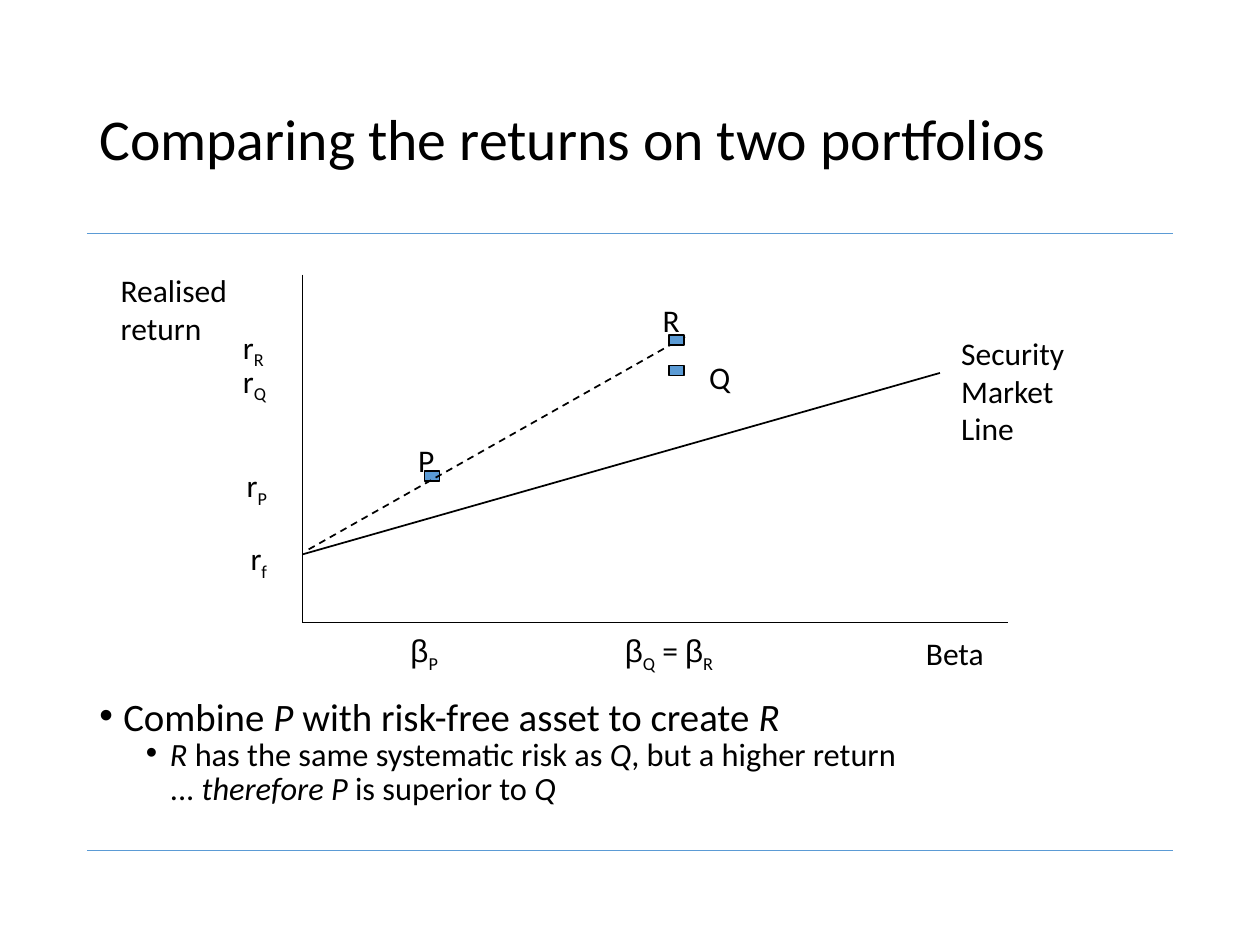
from dataclasses import dataclass

from lxml import etree
from pptx import Presentation
from pptx.dml.color import RGBColor
from pptx.enum.dml import MSO_LINE
from pptx.enum.shapes import MSO_CONNECTOR, MSO_SHAPE
from pptx.enum.text import MSO_ANCHOR, MSO_AUTO_SIZE
from pptx.oxml.ns import qn
from pptx.util import Inches, Pt

DASH = MSO_LINE.DASH
STRAIGHT = MSO_CONNECTOR.STRAIGHT
RECT = MSO_SHAPE.RECTANGLE
MIDDLE, TOP = MSO_ANCHOR.MIDDLE, MSO_ANCHOR.TOP
GROW, FIXED = MSO_AUTO_SIZE.SHAPE_TO_FIT_TEXT, MSO_AUTO_SIZE.NONE


@dataclass(frozen=True)
class Theme:
    ink: RGBColor = RGBColor(0, 0, 0)
    blue: RGBColor = RGBColor(0x5B, 0x9B, 0xD5)
    font: str = "Calibri"
    greek: str = "Arial"
    title: float = 33
    label: float = 18
    point: float = 22.2
    sub: float = 18.5
    thin: float = 0.5
    pen: float = 1


@dataclass(frozen=True)
class Box:
    x: float
    y: float
    w: float
    h: float

    def inner(self, x, y, w=0, h=0):
        """Box inside this one, given in percent of its sides."""
        return Box(self.x + self.w * x / 100, self.y + self.h * y / 100,
                   self.w * w / 100, self.h * h / 100)

    def emu(self):
        return [Inches(v) for v in (self.x, self.y, self.w, self.h)]


THEME = Theme()
PAGE = Box(0, 0, 10, 7.5)


def add_runs(para, text, size, mark):
    """Every second piece between bars is italic or subscript."""
    for i, piece in enumerate(text.split("|")):
        if not piece:
            continue
        run = para.add_run()
        run.text = piece
        font = run.font
        font.size = Pt(size)
        font.name = THEME.greek if piece == "β" else THEME.font
        font.color.rgb = THEME.ink
        if i % 2 and mark == "italic":
            font.italic = True
        elif i % 2:
            font._element.set("baseline", "-25000")


def add_text(slide, box, lines, size=THEME.label, mark="sub", wrap=False,
             anchor=TOP, spacing=None):
    shape = slide.shapes.add_textbox(*box.emu())
    frame = shape.text_frame
    frame.word_wrap = wrap
    frame.auto_size = FIXED if wrap else GROW
    frame.vertical_anchor = anchor
    for i, line in enumerate(lines):
        para = frame.paragraphs[0] if i == 0 else frame.add_paragraph()
        if spacing:
            para.line_spacing = spacing
        add_runs(para, line, size, mark)
    return frame


def add_line(slide, start, end, color=THEME.ink, width=THEME.pen, dash=None):
    line = slide.shapes.add_connector(STRAIGHT, *start.emu()[:2], *end.emu()[:2])
    line.line.color.rgb = color
    line.line.width = Pt(width)
    if dash:
        line.line.dash_style = dash
    etree.SubElement(line._element.spPr, qn("a:effectLst"))


def add_mark(slide, box):
    mark = slide.shapes.add_shape(RECT, *box.emu())
    mark.shadow.inherit = False
    mark.fill.solid()
    mark.fill.fore_color.rgb = THEME.blue
    mark.line.color.rgb = THEME.ink
    mark.line.width = Pt(THEME.pen)


def set_indent(para, left, hang, bullet):
    props = para._p.get_or_add_pPr()
    props.set("marL", str(Inches(left)))
    props.set("indent", str(-Inches(hang)))
    if bullet:
        etree.SubElement(props, qn("a:buFont")).set("typeface", THEME.greek)
        etree.SubElement(props, qn("a:buChar")).set("char", "•")
    else:
        etree.SubElement(props, qn("a:buNone"))


def draw_head(slide, box):
    add_text(slide, box, ["Comparing the returns on two portfolios"],
             size=THEME.title, wrap=True, anchor=MIDDLE, spacing=0.9)


def draw_rule(slide, box):
    add_line(slide, box.inner(0, 100), box.inner(100, 100), THEME.blue, THEME.thin)


def draw_plot(slide, box):
    at = box.inner
    # Axes and security market line
    for start, end in (((0, 0), (0, 100)), ((0, 100), (100, 100)),
                       ((0, 80.43), (90.36, 28.26))):
        add_line(slide, at(*start), at(*end))

    # Portfolios, with the mix of P and the risk-free asset under R
    size = (2.14, 2.9)
    for spot in ((17.32, 56.52), (51.96, 26.09)):
        add_mark(slide, at(*spot, *size))
    add_line(slide, at(0.89, 78.99), at(54.29, 17.75), dash=DASH)
    add_mark(slide, at(51.96, 17.39, *size))

    # Labels: left, top, width, lines
    labels = (
        (-27.5, -2.9, 18.75, ["Realised", "return"]),
        (86.61, 101.45, 12.14, ["Beta"]),
        (91.61, 15.22, 18.39, ["Security", "Market", "Line"]),
        (14.64, 46.01, 5.89, ["P"]),
        (55.89, 22.1, 6.61, ["Q"]),
        (49.29, 5.8, 6.07, ["R"]),
        (-9.11, 74.28, 6.07, ["r|f"]),
        (-9.64, 53.26, 6.79, ["r|P"]),
        (-10.18, 23.19, 7.14, ["r|Q"]),
        (-10.18, 13.41, 6.79, ["r|R"]),
        (13.57, 100.72, 7.68, ["β|P"]),
        (43.93, 100.72, 16.43, ["β|Q| = ||β|R"]),
    )
    for x, y, w, lines in labels:
        high = 14.49 + 11 * (len(lines) - 1)
        add_text(slide, at(x, y, w, high), lines)


def draw_notes(slide, box):
    lines = ["Combine |P| with risk-free asset to create |R",
             "|R| has the same systematic risk as |Q|, but a higher return",
             "... |therefore P| is superior to |Q"]
    frame = add_text(slide, box, lines, size=THEME.sub, mark="italic",
                     wrap=True, spacing=0.7)
    lead, *rest = frame.paragraphs
    for run in lead.runs:
        run.font.size = Pt(THEME.point)
    set_indent(lead, 0.19, 0.19, True)
    for para, bullet in zip(rest, (True, False)):
        para.level = 1
        para.space_before = Pt(3.8)
        set_indent(para, 0.56, 0.19 if bullet else 0, bullet)


def main():
    deck = Presentation()
    deck.slide_width, deck.slide_height = PAGE.emu()[2:]
    slide = deck.slides.add_slide(deck.slide_layouts[6])
    head = PAGE.inner(6.9, 5.33, 86.2, 19.33)
    notes = PAGE.inner(6.9, 74, 86.2, 16)
    for box in (head, notes):
        draw_rule(slide, box)
    draw_head(slide, head)
    draw_notes(slide, notes)
    draw_plot(slide, PAGE.inner(24, 29.07, 56, 36.8))
    deck.save("out.pptx")


if __name__ == "__main__":
    main()
